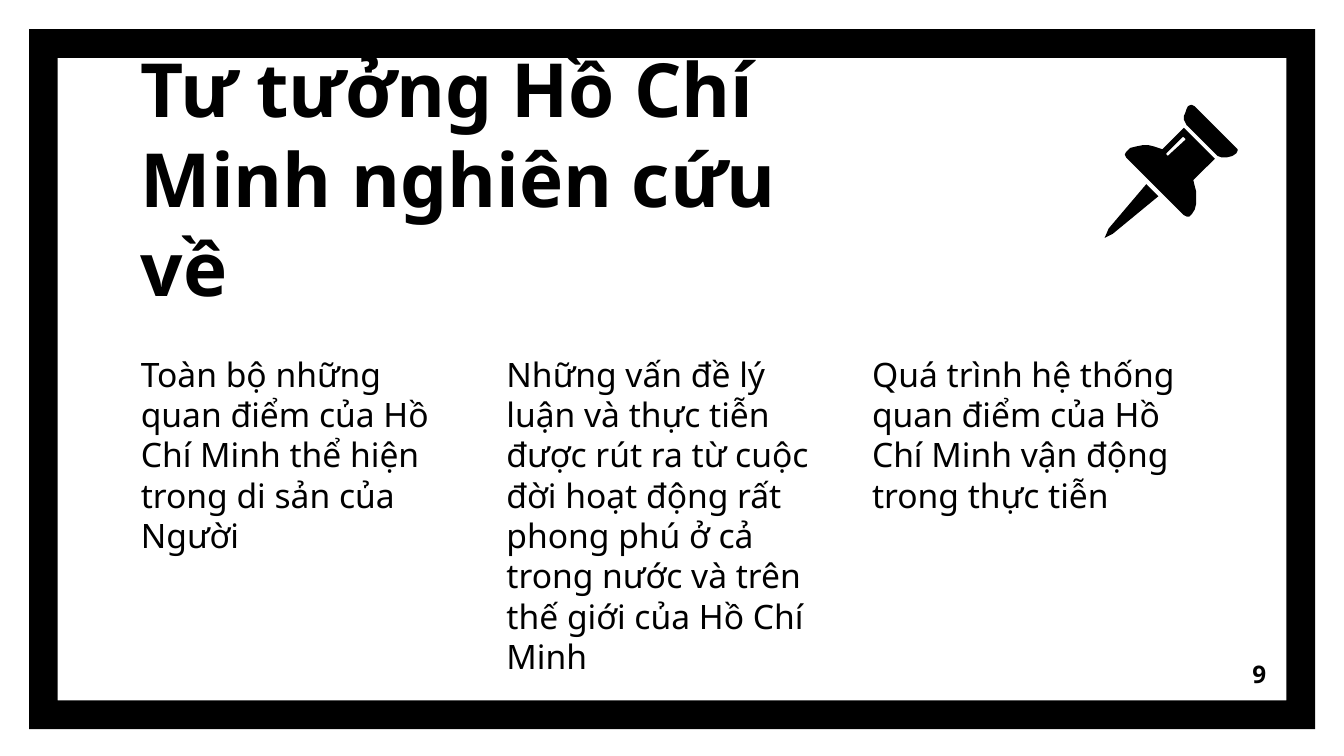
from pptx import Presentation
from pptx.dml.color import RGBColor
from pptx.enum.shapes import MSO_SHAPE
from pptx.enum.text import MSO_ANCHOR, PP_ALIGN
from pptx.util import Pt

FRAME = MSO_SHAPE.FRAME
TOP, MIDDLE, BOTTOM = MSO_ANCHOR.TOP, MSO_ANCHOR.MIDDLE, MSO_ANCHOR.BOTTOM
LEFT, RIGHT = PP_ALIGN.LEFT, PP_ALIGN.RIGHT

BLACK = RGBColor(0, 0, 0)
WHITE = RGBColor(255, 255, 255)
FONT = "Noto Sans"

TITLE = "Tư tưởng Hồ Chí Minh nghiên cứu về"
COLUMNS = [
    "Toàn bộ những quan điểm của Hồ Chí Minh thể hiện trong di sản của Người",
    "Những vấn đề lý luận và thực tiễn được rút ra từ cuộc đời hoạt động rất "
    "phong phú ở cả trong nước và trên thế giới của Hồ Chí Minh",
    "Quá trình hệ thống quan điểm của Hồ Chí Minh vận động trong thực tiễn",
]

# Pin outlines on a 99 by 99 grid; each part is a list of closed contours
PIN_GRID = 99
PIN_NEEDLE = [[(31, 59), (3, 92), (0, 99), (6, 96), (40, 68)]]
PIN_CAP = [[
    (64, 0), (62, 1), (61, 3), (60, 6), (59, 8), (59, 11), (61, 15),
    (84, 38), (87, 39), (91, 39), (95, 38), (98, 36), (99, 34), (99, 33),
    (98, 32), (67, 1), (65, 0),
]]
PIN_BODY = [
    # Highlight cut out of the body
    [(59, 24), (60, 25), (60, 26), (48, 37), (47, 38), (46, 37), (46, 36),
     (58, 24)],
    # Body and collar
    [(59, 17), (43, 33), (40, 32), (37, 31), (33, 30), (28, 30), (23, 31),
     (19, 32), (16, 35), (15, 37), (16, 39), (59, 82), (61, 83), (63, 83),
     (65, 81), (67, 78), (68, 74), (68, 64), (67, 60), (66, 56), (82, 40)],
]


def add_text(slide, box, text, size, bold=False, anchor=TOP, align=LEFT,
             space_before=0):
    shape = slide.shapes.add_textbox(*(Pt(length) for length in box))
    frame = shape.text_frame
    frame.word_wrap = True
    frame.vertical_anchor = anchor
    frame.margin_left = frame.margin_right = Pt(7.2)
    frame.margin_top = frame.margin_bottom = Pt(7.2)
    paragraph = frame.paragraphs[0]
    paragraph.alignment = align
    paragraph.space_before = Pt(space_before)
    run = paragraph.add_run()
    run.text = text
    run.font.name = FONT
    run.font.size = Pt(size)
    run.font.bold = bold
    run.font.color.rgb = BLACK


def paint_black(shape):
    shape.shadow.inherit = False
    shape.fill.solid()
    shape.fill.fore_color.rgb = BLACK
    shape.line.fill.background()


def add_border(slide, box):
    border = slide.shapes.add_shape(FRAME, *(Pt(length) for length in box))
    border.adjustments[0] = 0.041
    paint_black(border)


def add_columns(slide, box, texts, gap):
    left, top, width, height = box
    column_width = (width - gap * (len(texts) - 1)) / len(texts)
    for index, text in enumerate(texts):
        column_left = left + index * (column_width + gap)
        add_text(slide, (column_left, top, column_width, height), text, 18,
                 space_before=6)


def add_pin(slide, box):
    left, top, width, height = box
    scale = (Pt(width) / PIN_GRID, Pt(height) / PIN_GRID)
    for contours in (PIN_NEEDLE, PIN_CAP, PIN_BODY):
        first, *others = contours
        builder = slide.shapes.build_freeform(*first[0], scale=scale)
        builder.add_line_segments(first[1:], close=True)
        for contour in others:
            builder.move_to(*contour[0])
            builder.add_line_segments(contour[1:], close=True)
        paint_black(builder.convert_to_shape(Pt(left), Pt(top)))


def build_slide(presentation):
    slide = presentation.slides.add_slide(presentation.slide_layouts[6])
    slide.background.fill.solid()
    slide.background.fill.fore_color.rgb = WHITE
    # Border
    add_border(slide, (15.6, 15.6, 689, 375))
    # Title
    add_text(slide, (68.4, 67, 401, 107.3), TITLE, 40, bold=True, anchor=BOTTOM)
    # Three columns of text
    add_columns(slide, (68.4, 182.2, 578.2, 160.6), COLUMNS, gap=9.4)
    # Pin
    add_pin(slide, (591.8, 56.2, 71.3, 71.3))
    # Slide number
    add_text(slide, (642.2, 345.6, 43.2, 31), "9", 13, bold=True,
             anchor=MIDDLE, align=RIGHT)


def main():
    presentation = Presentation()
    presentation.slide_width = Pt(720)
    presentation.slide_height = Pt(405)
    build_slide(presentation)
    presentation.save("out.pptx")


if __name__ == "__main__":
    main()
